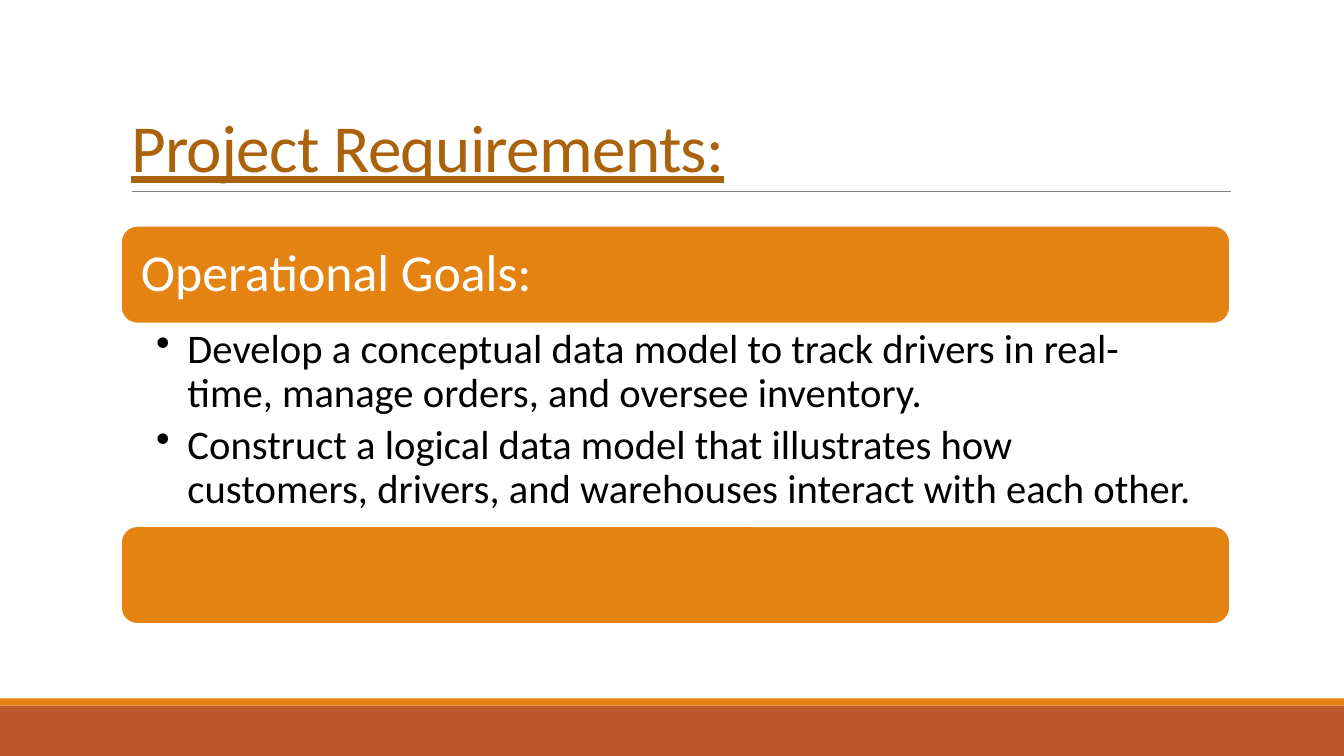
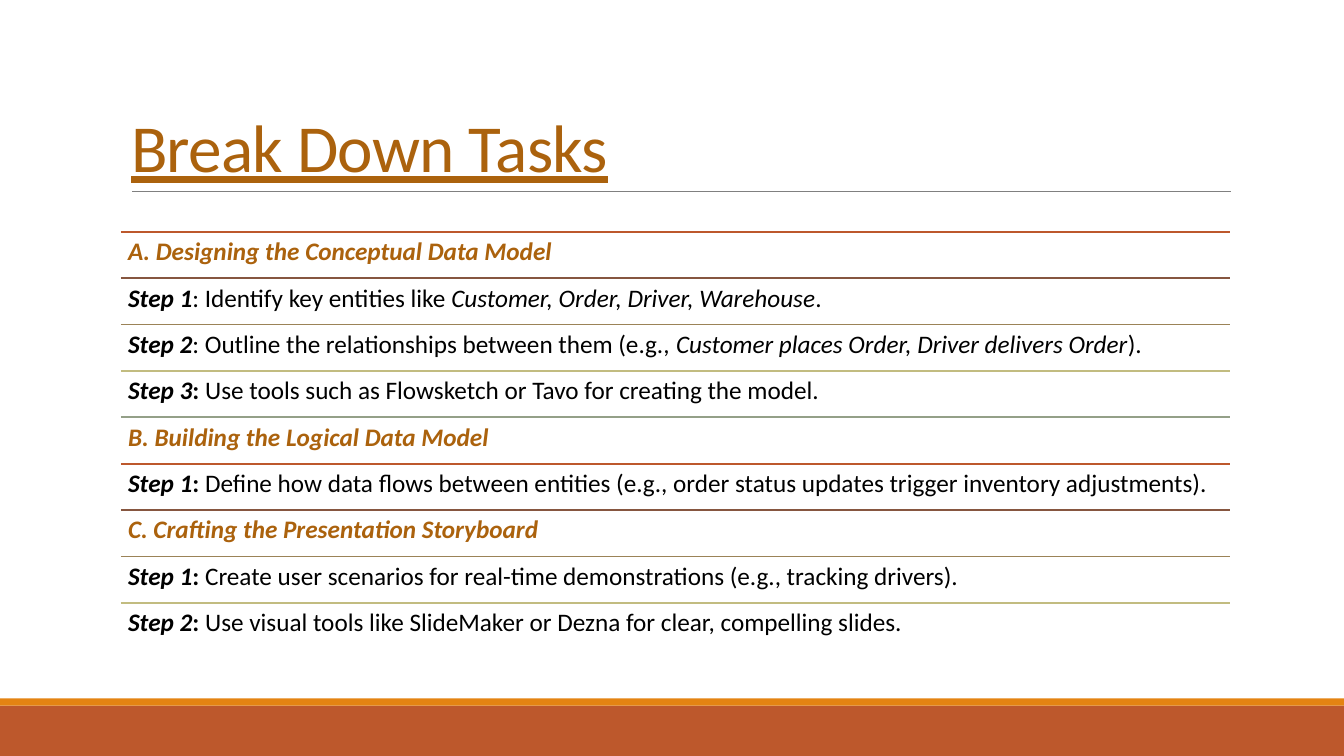
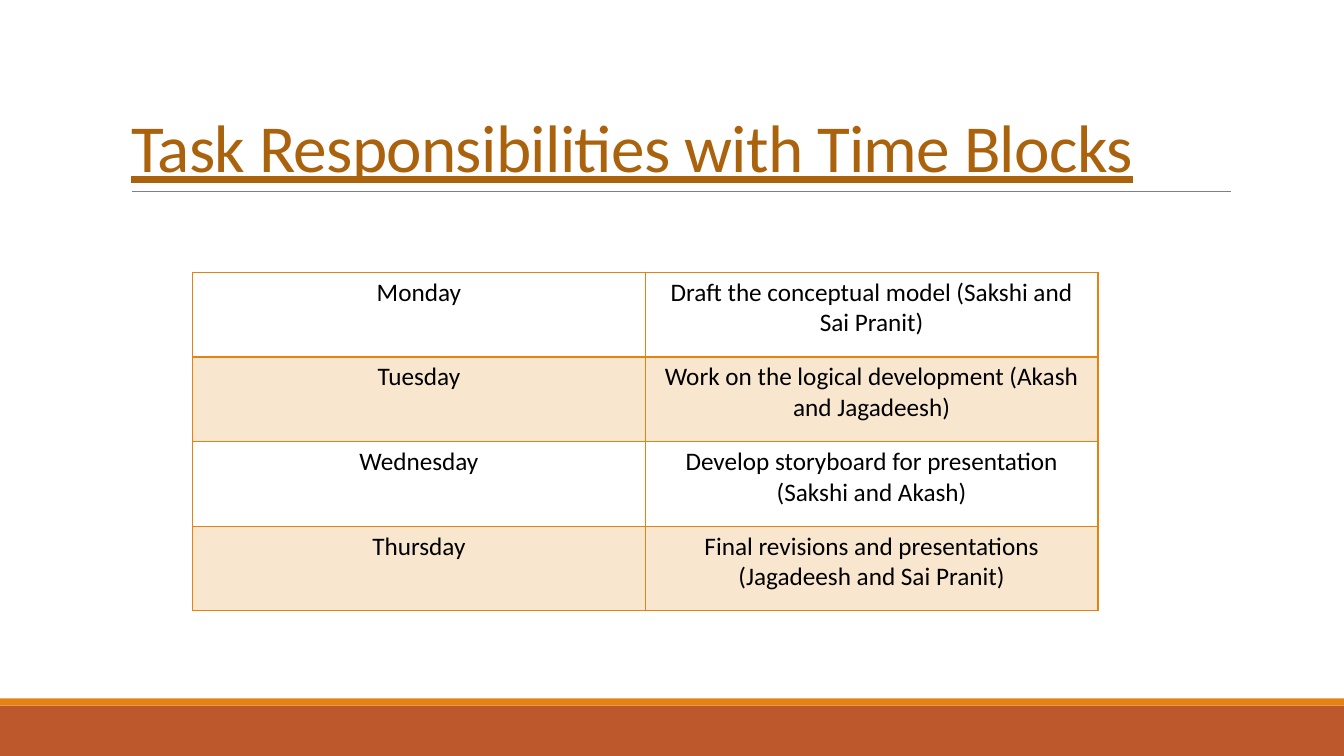
from pptx import Presentation
from pptx.dml.color import RGBColor
from pptx.enum.shapes import MSO_CONNECTOR, MSO_SHAPE
from pptx.enum.text import MSO_ANCHOR, MSO_AUTO_SIZE, PP_ALIGN
from pptx.oxml import parse_xml
from pptx.oxml.ns import nsdecls, qn
from pptx.util import Inches, Pt
from lxml import etree

RECTANGLE, ROUNDED = MSO_SHAPE.RECTANGLE, MSO_SHAPE.ROUNDED_RECTANGLE
STRAIGHT = MSO_CONNECTOR.STRAIGHT
TOP, MIDDLE, BOTTOM = MSO_ANCHOR.TOP, MSO_ANCHOR.MIDDLE, MSO_ANCHOR.BOTTOM
LEFT, CENTER = PP_ALIGN.LEFT, PP_ALIGN.CENTER
NO_FIT = MSO_AUTO_SIZE.NONE

ORANGE = RGBColor(0xE4, 0x83, 0x12)
RUST = RGBColor(0xBD, 0x58, 0x2C)
BROWN = RGBColor(0xAB, 0x62, 0x0D)
UMBER = RGBColor(0x86, 0x56, 0x40)
KHAKI = RGBColor(0x9B, 0x83, 0x57)
LIME = RGBColor(0xC2, 0xBC, 0x80)
SAGE = RGBColor(0x94, 0xA0, 0x88)
GRAY = RGBColor(0x80, 0x80, 0x80)
BLACK = RGBColor(0, 0, 0)
WHITE = RGBColor(0xFF, 0xFF, 0xFF)

FONT = "Calibri"
WIDTH, HEIGHT = 13.33, 7.5
CONTENT_LEFT, CONTENT_WIDTH = 1.2, 11
RULE_COLORS = [RUST, UMBER, KHAKI, LIME, SAGE]

HEADING = {"bold": True, "italic": True}
ITALIC = {"italic": True}
BOLD = {"bold": True}
PLAIN = {}

GOALS = [
    "Develop a conceptual data model to track drivers in real-time, manage orders, and oversee inventory.",
    "Construct a logical data model that illustrates how customers, drivers, and warehouses interact with each other.",
]

SCHEDULE = [
    ("Monday", "Draft the conceptual model (Sakshi and Sai Pranit)"),
    ("Tuesday", "Work on the logical development (Akash and Jagadeesh)"),
    ("Wednesday", "Develop storyboard for presentation (Sakshi and Akash)"),
    ("Thursday", "Final revisions and presentations (Jagadeesh and Sai Pranit)"),
]


def heading(text):
    return [(text, {**HEADING, "color": BROWN})]


def step(number, *spans):
    return [(f"Step {number}", HEADING), *spans]


def bold_step(number, text):
    return step(number, (": ", BOLD), (text, PLAIN))


TASKS = [
    heading("A. Designing the Conceptual Data Model"),
    step(1, (": Identify key entities like ", PLAIN),
         ("Customer, Order, Driver, Warehouse", ITALIC), (".", PLAIN)),
    step(2, (": Outline the relationships between them (e.g., ", PLAIN),
         ("Customer places Order, Driver delivers Order", ITALIC), (").", PLAIN)),
    bold_step(3, "Use tools such as Flowsketch or Tavo for creating the model."),
    heading("B. Building the Logical Data Model"),
    bold_step(1, "Define how data flows between entities (e.g., order status updates trigger inventory adjustments)."),
    heading("C. Crafting the Presentation Storyboard"),
    bold_step(1, "Create user scenarios for real-time demonstrations (e.g., tracking drivers)."),
    bold_step(2, "Use visual tools like SlideMaker or Dezna for clear, compelling slides."),
]


class SlideBuilder:
    def __init__(self):
        self.deck = Presentation()
        self.deck.slide_width = Inches(WIDTH)
        self.deck.slide_height = Inches(HEIGHT)
        self.page = None

    def new_page(self, title):
        self.page = self.deck.slides.add_slide(self.deck.slide_layouts[5])
        self.shape(RECTANGLE, 0, 7, WIDTH, 0.5, RUST)
        self.shape(RECTANGLE, 0, 6.93, WIDTH, 0.07, ORANGE)
        self.rule(1.31, 1.9, 10.9, GRAY, 0.5)
        box = self.page.shapes.title
        place = {"left": CONTENT_LEFT, "top": 0.31, "width": CONTENT_WIDTH, "height": 1.59}
        for name, value in place.items():
            setattr(box, name, Inches(value))
        self.frame(box, (0.1, 0.05, 0.1, 0.05), BOTTOM)
        para = box.text_frame.paragraphs[0]
        self.fill_para(para, [(title, {"underline": True})], 48, BROWN, line_spacing=0.85)
        para.runs[0]._r.get_or_add_rPr().set("spc", "-50")

    def frame(self, box, insets, anchor=TOP):
        values = {"word_wrap": True, "auto_size": NO_FIT, "vertical_anchor": anchor}
        sides = ("margin_left", "margin_top", "margin_right", "margin_bottom")
        values.update(zip(sides, map(Inches, insets)))
        for name, value in values.items():
            setattr(box.text_frame, name, value)

    def fill_para(self, para, spans, size, color=BLACK, **layout):
        for name, value in {"alignment": LEFT, "line_spacing": 0.9, **layout}.items():
            setattr(para, name, value)
        for text, style in spans:
            span = para.add_run()
            span.text = text
            values = {"name": FONT, "size": Pt(size), "bold": False, "italic": False, **style}
            span.font.color.rgb = values.pop("color", color)
            for name, value in values.items():
                setattr(span.font, name, value)

    def shape(self, kind, left, top, width, height, fill, line=None):
        box = self.page.shapes.add_shape(kind, *map(Inches, (left, top, width, height)))
        box.shadow.inherit = False
        box.fill.solid()
        box.fill.fore_color.rgb = fill
        if line is None:
            box.line.fill.background()
        else:
            box.line.color.rgb = line
            box.line.width = Pt(1.25)
        return box

    def rule(self, left, top, width, color, weight):
        line = self.page.shapes.add_connector(
            STRAIGHT, *map(Inches, (left, top, left + width, top)))
        line.line.color.rgb = color
        line.line.width = Pt(weight)
        etree.SubElement(line._element.spPr, qn("a:effectLst"))

    def bar(self, top, text=None):
        box = self.shape(ROUNDED, CONTENT_LEFT, top, CONTENT_WIDTH, 0.97, ORANGE, WHITE)
        if text:
            self.frame(box, (0.15,) * 4, MIDDLE)
            self.fill_para(box.text_frame.paragraphs[0], [(text, PLAIN)], 37, WHITE)

    def text_box(self, top, height, insets):
        box = self.page.shapes.add_textbox(
            *map(Inches, (CONTENT_LEFT, top, CONTENT_WIDTH, height)))
        self.frame(box, insets)
        return box.text_frame

    def bullets(self, top, height, items):
        text_frame = self.text_box(top, height, (0.35, 0.05, 0.29, 0.05))
        for index, item in enumerate(items):
            para = text_frame.add_paragraph() if index else text_frame.paragraphs[0]
            self.fill_para(para, [(item, PLAIN)], 29, space_after=Pt(5.8))
            properties = para._p.get_or_add_pPr()
            properties.set("marL", str(Inches(0.31)))
            properties.set("indent", str(-Inches(0.31)))
            etree.SubElement(properties, qn("a:buChar")).set("char", "•")

    def ruled_list(self, top, pitch, rows):
        for index, spans in enumerate(rows):
            row_top = top + index * pitch
            self.rule(CONTENT_LEFT, row_top, CONTENT_WIDTH,
                      RULE_COLORS[index % len(RULE_COLORS)], 1.25)
            text_frame = self.text_box(row_top, pitch, (0.07,) * 4)
            self.fill_para(text_frame.paragraphs[0], spans, 18)

    def border(self, cell, weights):
        properties = cell._tc.get_or_add_tcPr()
        for index, (side, weight) in enumerate(weights.items()):
            properties.insert(index, parse_xml(
                f'<a:ln{side} {nsdecls("a")} w="{Pt(weight)}"><a:solidFill>'
                f'<a:srgbClr val="{ORANGE}"/></a:solidFill></a:ln{side}>'))

    def tint(self, cell, percent):
        cell.fill.solid()
        cell.fill.fore_color.rgb = ORANGE
        color = cell._tc.tcPr.find(qn("a:solidFill")).find(qn("a:srgbClr"))
        etree.SubElement(color, qn("a:alpha")).set("val", str(percent * 1000))

    def table(self, left, top, column_width, row_height, rows):
        columns = len(rows[0])
        table = self.page.shapes.add_table(
            len(rows), columns, Inches(left), Inches(top),
            Inches(column_width * columns), Inches(row_height * len(rows))).table
        table.first_row = table.horz_banding = False
        for row_index, texts in enumerate(rows):
            for column_index, text in enumerate(texts):
                cell = table.cell(row_index, column_index)
                self.fill_para(cell.text_frame.paragraphs[0], [(text, PLAIN)], 18,
                               alignment=CENTER, line_spacing=1.0)
                if row_index % 2:
                    self.tint(cell, 20)
                else:
                    cell.fill.background()
                self.border(cell, {"L": 1, "R": 1,
                                   "T": 2 if row_index == 1 else 1,
                                   "B": 2 if row_index == 0 else 1})


def main():
    builder = SlideBuilder()

    builder.new_page("Project Requirements:")
    builder.bar(2.24, "Operational Goals:")
    builder.bullets(3.21, 2.01, GOALS)
    builder.bar(5.22)

    builder.new_page("Break Down Tasks")
    builder.ruled_list(2.3, 0.46, TASKS)

    builder.new_page("Task Responsibilities with Time Blocks")
    builder.table(1.91, 2.7, 4.49, 0.84, SCHEDULE)

    builder.deck.save("out.pptx")


if __name__ == "__main__":
    main()
